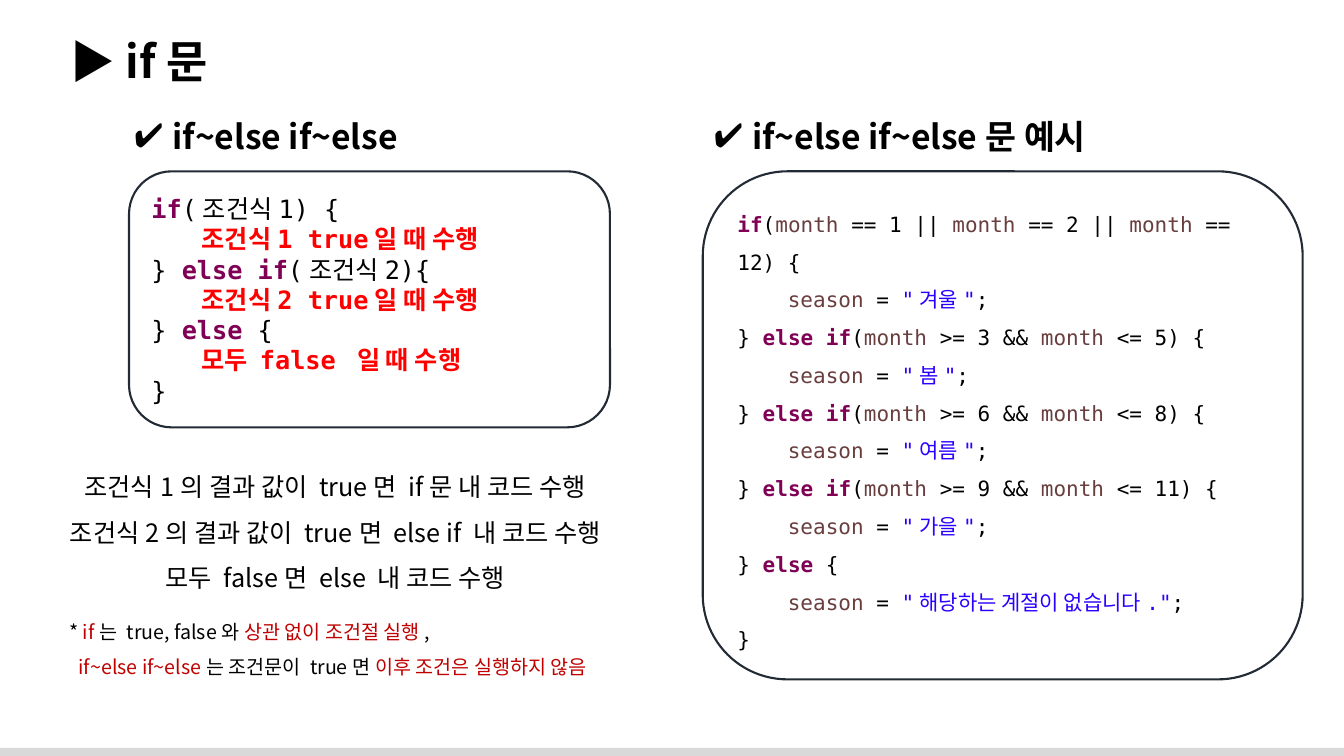
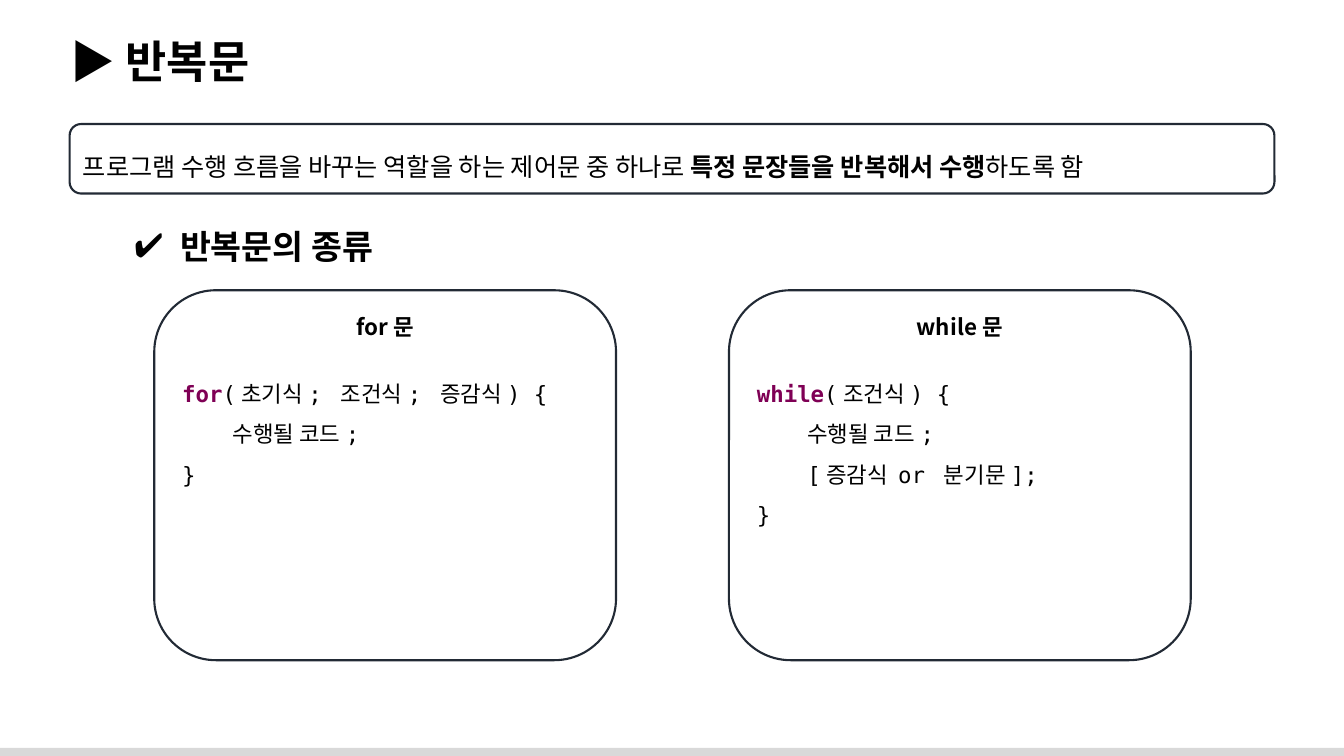
"""Build two lecture slides on branching and loops."""
from dataclasses import dataclass

from lxml import etree
from pptx import Presentation
from pptx.dml.color import RGBColor
from pptx.enum.shapes import MSO_SHAPE
from pptx.enum.text import MSO_ANCHOR, MSO_AUTO_SIZE, PP_ALIGN
from pptx.oxml.ns import qn
from pptx.util import Inches, Pt

LEFT, CENTER = PP_ALIGN.LEFT, PP_ALIGN.CENTER
TOP, MIDDLE = MSO_ANCHOR.TOP, MSO_ANCHOR.MIDDLE
RECT, ROUND = MSO_SHAPE.RECTANGLE, MSO_SHAPE.ROUNDED_RECTANGLE
FIXED = MSO_AUTO_SIZE.NONE


@dataclass(frozen=True)
class Theme:
    """Hold colours, fonts and type sizes."""
    sans: str = "Noto Sans CJK KR"
    mono: str = "DejaVu Sans Mono"
    edge: str = "222A35"
    band: str = "D9D9D9"
    title: int = 32
    head: int = 24
    body: int = 18
    card: int = 16
    code: int = 15
    note: int = 14


THEME = Theme()
STYLES = {
    "ink": ("000000", False),
    "bold": ("000000", True),
    "key": ("7F0055", True),
    "var": ("6A3E3E", False),
    "str": ("2A00FF", False),
    "hot": ("FF0000", True),
    "warn": ("C00000", False),
}

WIDTH, HEIGHT = 13.33, 7.5
TITLE_BOX = (0.6, 0.28, 12.6, 0.64)
BAND_BOX = (-0.03, 7.42, 13.39, 0.11)
HEAD_H = 0.5
HANG = 0.38

IF_TITLE = "▶ if문"
IF_HEADS = [
    ("if~else if~else", (1.23, 1.1, 2.98, HEAD_H)),
    ("if~else if~else문 예시", (6.98, 1.1, 4.11, HEAD_H)),
]
FORM = [
    [("key", "if"), ("ink", "(조건식1) {")],
    [("hot", "\t조건식1 true일 때 수행")],
    [("ink", "} "), ("key", "else if"), ("ink", "(조건식2){")],
    [("hot", "\t조건식2 true일 때 수행")],
    [("ink", "} "), ("key", "else "), ("ink", "{")],
    [("hot", "\t모두 false 일 때 수행")],
    [("ink", "}")],
]
RULES = [
    [("ink", "조건식1의 결과 값이 true면 if문 내 코드 수행")],
    [("ink", "조건식2의 결과 값이 true면 else if 내 코드 수행")],
    [("ink", "모두 false면 else 내 코드 수행")],
]
NOTES = [
    [("ink", "* "), ("warn", "if"), ("ink", "는 true, false와"),
     ("warn", " 상관 없이 조건절 실행"), ("ink", ", ")],
    [("warn", "if~else if~else"), ("ink", "는 조건문이 true면 "),
     ("warn", "이후 조건은 실행하지 않음")],
]
NOTE_PAD = 0.09
WINTER = (" == 1 || ", " == 2 || ", " == 12) {")
SPANS = [(3, 5, "봄"), (6, 8, "여름"), (9, 11, "가을")]

LOOP_TITLE = "▶ 반복문"
LOOP_HEAD = (" 반복문의 종류", (1.23, 2.19, 2.84, HEAD_H))
INTRO = [[
    ("ink", "프로그램 수행 흐름을 바꾸는 역할을 하는 제어문 중 하나로 "),
    ("bold", "특정 문장들을 반복해서 수행"),
    ("ink", "하도록 함"),
]]
LOOPS = [
    ("for", "(초기식; 조건식; 증감식) {", ["수행될 코드;"]),
    ("while", "(조건식) {", ["수행될 코드;", "[증감식 or 분기문];"]),
]
CARD_X, CARD_Y, CARD_W, CARD_H, CARD_STEP = 1.53, 2.88, 4.58, 3.67, 5.7
CARD_GAP = 19


def place(shape, box):
    """Move a shape to a box in inches."""
    shape.left, shape.top, shape.width, shape.height = map(Inches, box)


def write(frame, lines, size, font=THEME.sans, space=1.0, align=LEFT):
    """Add lines of styled runs to a text frame."""
    frame.word_wrap = True
    for line in lines:
        para = frame.paragraphs[-1]
        if para.runs:
            para = frame.add_paragraph()
        para.alignment, para.line_spacing = align, space
        para.space_before = Pt(0)
        for style, text in line:
            run = para.add_run()
            run.text = text
            color, run.font.bold = STYLES[style]
            run.font.size, run.font.name = Pt(size), font
            run.font.color.rgb = RGBColor.from_string(color)
            asian = etree.SubElement(run.font._element, qn("a:ea"))
            asian.set("typeface", THEME.sans)


def indent(para, left, first=0):
    """Set the left margin and first line offset in inches."""
    props = para._p.get_or_add_pPr()
    props.set("marL", str(Inches(left)))
    props.set("indent", str(Inches(first)))
    return props


def title(slide, text):
    """Fill the title placeholder."""
    frame = slide.shapes.title.text_frame
    frame.vertical_anchor, frame.auto_size = TOP, FIXED
    write(frame, [[("bold", text)]], THEME.title)


def head(holder, text, box):
    """Fill a body placeholder with a ticked heading."""
    place(holder, box)
    frame = holder.text_frame
    frame.vertical_anchor, frame.auto_size = TOP, FIXED
    write(frame, [[("bold", text)]], THEME.head)
    props = indent(frame.paragraphs[0], HANG, -HANG)
    etree.SubElement(props, qn("a:buChar")).set("char", "✔")


def panel(slide, box, anchor=MIDDLE):
    """Draw an outlined round box and return its text frame."""
    shape = slide.shapes.add_shape(ROUND, *map(Inches, box))
    shape.shadow.inherit = False
    shape.fill.background()
    shape.line.color.rgb = RGBColor.from_string(THEME.edge)
    shape.line.width = Pt(1.5)
    shape.text_frame.vertical_anchor = anchor
    return shape.text_frame


def label(slide, box, lines, size, align=LEFT):
    """Add a plain text box and return its frame."""
    frame = slide.shapes.add_textbox(*map(Inches, box)).text_frame
    write(frame, lines, size, space=1.5, align=align)
    return frame


def season(name):
    """Return the code line that stores a season."""
    return [("var", "\tseason"), ("ink", " = "),
            ("str", f'"{name}"'), ("ink", ";")]


def sample():
    """Return the code lines of the season example."""
    first = [("key", "if"), ("ink", "(")]
    for test in WINTER:
        first += [("var", "month"), ("ink", test)]
    lines = [first, season("겨울")]
    for low, high, name in SPANS:
        lines += [[("ink", "} "), ("key", "else if"), ("ink", "("),
                   ("var", "month"), ("ink", f" >= {low} && "),
                   ("var", "month"), ("ink", f" <= {high}) {{")],
                  season(name)]
    return lines + [[("ink", "} "), ("key", "else "), ("ink", "{")],
                    season("해당하는 계절이 없습니다."), [("ink", "}")]]


def brand(deck, slide):
    """Set the title place and footer band on the master."""
    master = deck.slide_master
    place(master.placeholders[0], TITLE_BOX)
    band = slide.shapes.add_shape(RECT, *map(Inches, BAND_BOX))
    band.shadow.inherit = False
    band.fill.solid()
    band.fill.fore_color.rgb = RGBColor.from_string(THEME.band)
    band.line.fill.background()
    band.element.nvSpPr.cNvPr.set("id", "90")
    master.shapes.element.insert(2, band.element)


def branch(slide):
    """Fill the slide on if statements."""
    title(slide, IF_TITLE)
    for spot, (text, box) in enumerate(IF_HEADS, 1):
        head(slide.placeholders[spot], text, box)
    write(panel(slide, (1.28, 1.7, 4.77, 2.54)), FORM, THEME.body, THEME.mono)
    write(panel(slide, (6.97, 1.7, 5.95, 5.04)), sample(), THEME.code,
          THEME.mono, 1.5)
    label(slide, (0.51, 4.48, 5.63, 1.46), RULES, THEME.body, CENTER)
    notes = label(slide, (0.59, 5.98, 5.76, 0.76), NOTES, THEME.note)
    indent(notes.paragraphs[1], NOTE_PAD)


def loop(slide):
    """Fill the slide on loops."""
    title(slide, LOOP_TITLE)
    write(panel(slide, (0.69, 1.23, 11.95, 0.69)), INTRO, THEME.body,
          space=1.5)
    head(slide.placeholders[1], *LOOP_HEAD)
    for col, (word, rest, body) in enumerate(LOOPS):
        box = (CARD_X + col * CARD_STEP, CARD_Y, CARD_W, CARD_H)
        frame = panel(slide, box, TOP)
        write(frame, [[("bold", word + "문")]], THEME.card, align=CENTER)
        frame.paragraphs[0].space_after = Pt(CARD_GAP)
        code = [[("key", word), ("ink", rest)]]
        code += [[("ink", "\t" + step)] for step in body]
        write(frame, code + [[("ink", "}")]], THEME.card, THEME.mono, 1.5)


def main():
    """Build and save the deck."""
    deck = Presentation()
    deck.slide_width, deck.slide_height = Inches(WIDTH), Inches(HEIGHT)
    first = deck.slides.add_slide(deck.slide_layouts[3])
    brand(deck, first)
    branch(first)
    loop(deck.slides.add_slide(deck.slide_layouts[1]))
    deck.save("out.pptx")


main()
